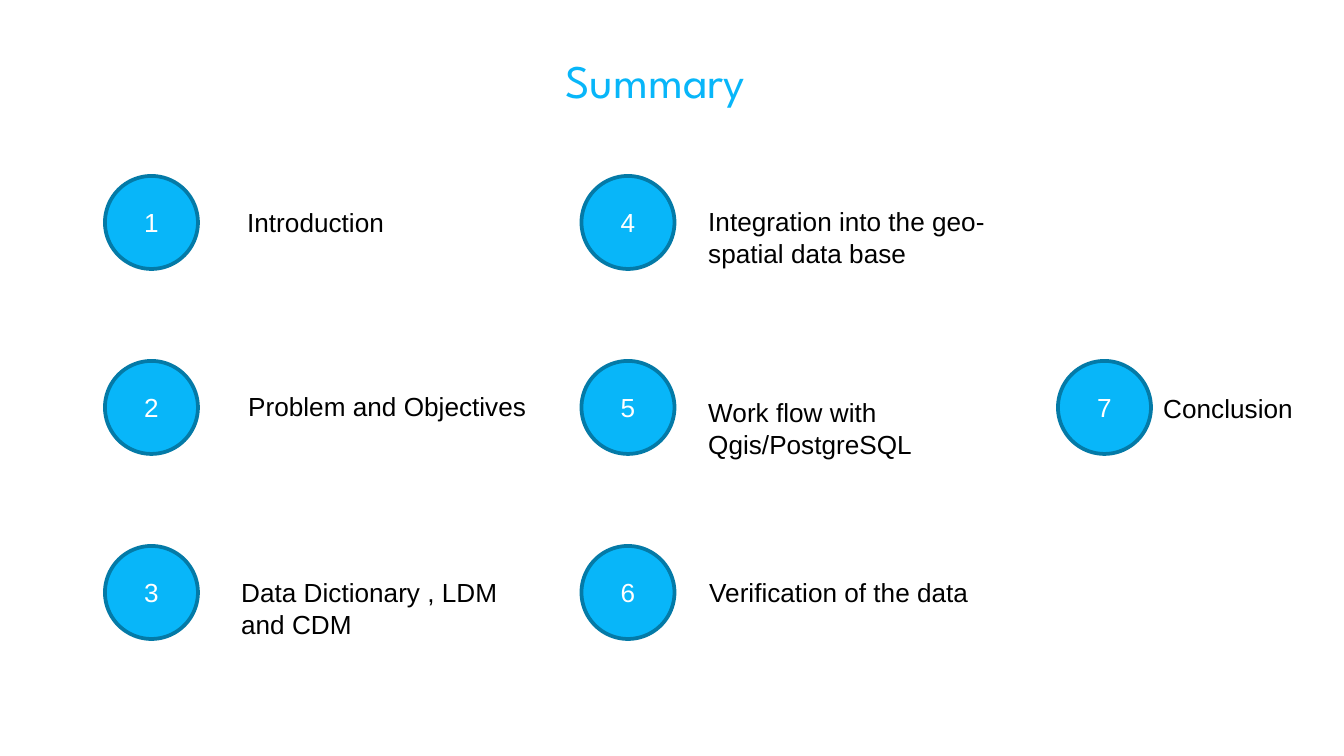
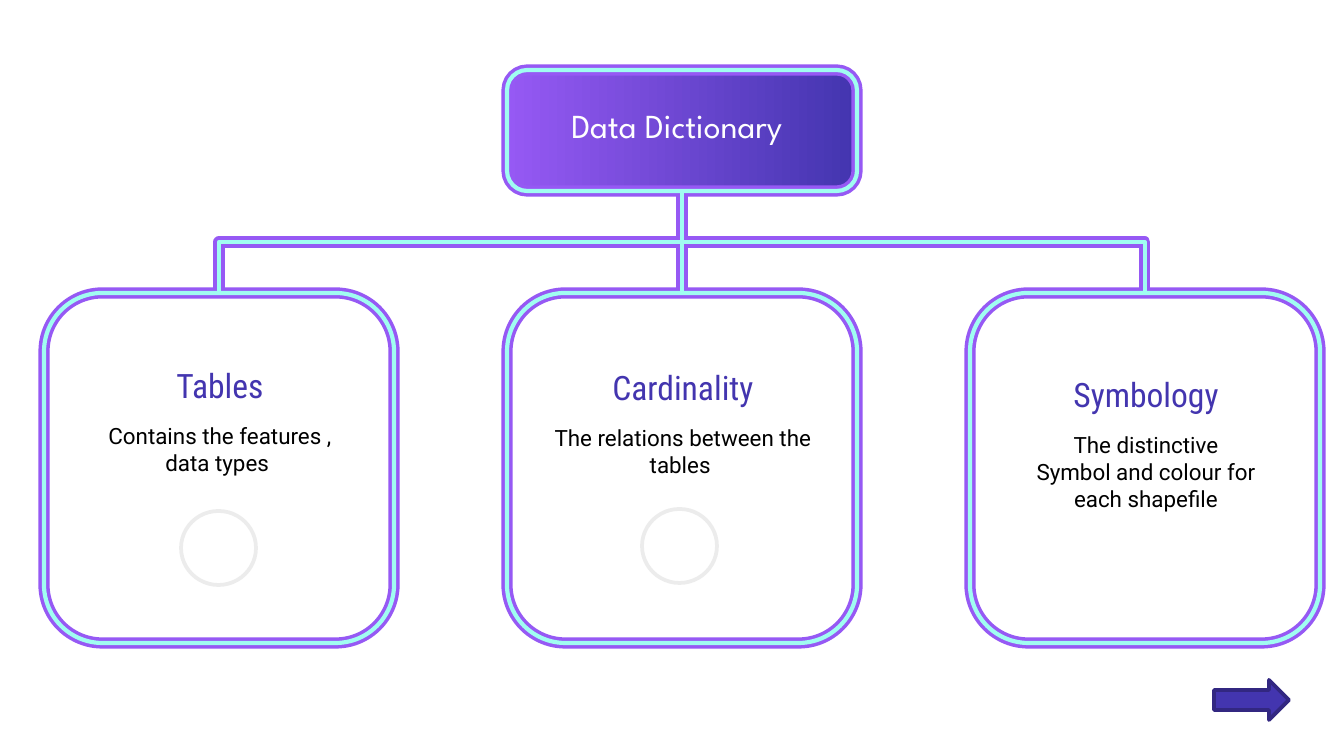
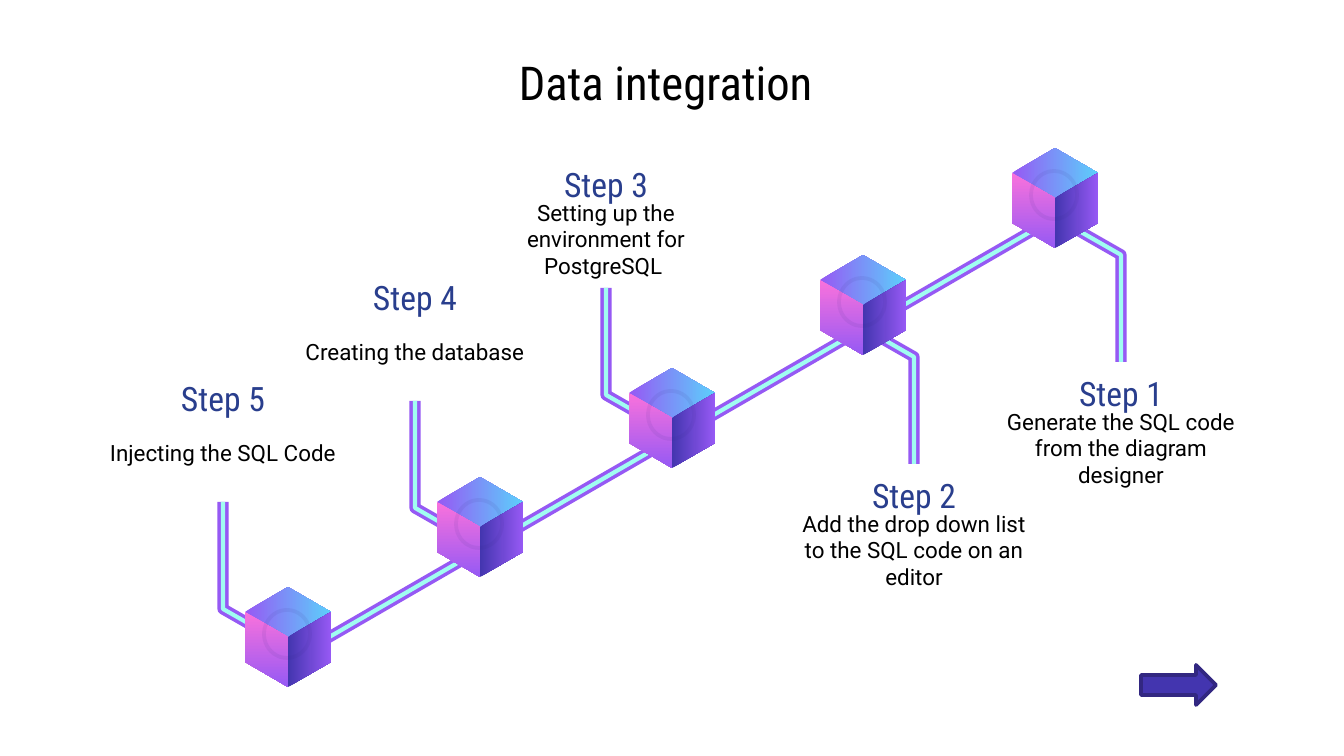
import dataclasses

import lxml.etree
import pptx
import pptx.dml.color
import pptx.enum.dml
import pptx.enum.shapes
import pptx.enum.text
import pptx.oxml.ns
import pptx.util

EMU_PER_PX = 914400 / 134.4
SHAPE = pptx.enum.shapes.MSO_SHAPE
CONNECTOR = pptx.enum.shapes.MSO_CONNECTOR
ALIGN = pptx.enum.text.PP_ALIGN
ANCHOR = pptx.enum.text.MSO_ANCHOR


@dataclasses.dataclass(frozen=True)
class Type:
    font: str
    size: int
    color: str


@dataclasses.dataclass(frozen=True)
class Theme:
    sky: str = "08B6F9"
    sky_edge: str = "047AA7"
    indigo: str = "4335AF"
    indigo_edge: str = "322781"
    violet: str = "9659F4"
    pink: str = "FA72DC"
    cyan: str = "5CCFFB"
    mint: str = "A0FDF1"
    silver: str = "D9D9D9"
    white: str = "FFFFFF"
    edge: int = 2
    summary_title: Type = Type("League Spartan", 25, "08B6F9")
    page_title: Type = Type("Roboto Condensed", 25, "000000")
    root_title: Type = Type("League Spartan", 18, "FFFFFF")
    number: Type = Type("Arial", 14, "FFFFFF")
    label: Type = Type("Arial", 14, "000000")
    card_title: Type = Type("Roboto Condensed", 18, "4335AF")
    step_title: Type = Type("Roboto Condensed", 18, "293E8D")
    body: Type = Type("Roboto", 12, "000000")


THEME = Theme()
# Every tube is a wide violet stroke with a thin mint stroke over it.
TUBE = ((THEME.violet, 6), (THEME.mint, 2.25))

# Label, left, top, width; three to a column
TOPICS = [
    ("Introduction", 234, 200, 325),
    ("Problem and Objectives", 235, 384, 325),
    ("Data Dictionary , LDM and CDM", 228, 570, 325),
    ("Integration into the geo-spatial data base", 695, 199, 325),
    ("Work flow with Qgis/PostgreSQL", 695, 390, 325),
    ("Verification of the data", 696, 570, 325),
    ("Conclusion", 1150, 386, 193),
]

# Heading, paragraphs, heading top
CARDS = [
    ("Tables", ["Contains the features , data types "], 362),
    ("Cardinality", ["The relations between the tables "], 364),
    ("Symbology", ["The distinctive", "Symbol and colour for each shapefile"], 371),
]
CARD_RINGS = [(181, 511), (642, 509)]

# Heading, text, cube apex, bend of the lead, side (1 below, -1 above)
STEPS = [
    ("Step 5", "Injecting the SQL Code", (288, 587), (223, 609), -1),
    ("Step 4", "Creating the database", (480, 477), (415, 508), -1),
    ("Step 3", "Setting up the environment for PostgreSQL ", (672, 368), (606, 395), -1),
    ("Step 2", "Add the drop down list to the SQL code on an editor", (863, 255), (914, 357), 1),
    ("Step 1", "Generate the SQL code\nfrom the diagram designer", (1055, 148), (1121, 255), 1),
]

# Corners from the apex, gradient colours, gradient angle
CUBE_FACES = [
    ([(0, 50), (-43, 25), (0, 0), (43, 25)], (THEME.violet, THEME.cyan), 0),
    ([(-43, 25), (-43, 75), (0, 100), (0, 50)], (THEME.pink, THEME.violet), 270),
    ([(43, 25), (0, 50), (0, 100), (43, 75)], (THEME.indigo, THEME.violet), 0),
]


def px(*lengths):
    return [pptx.util.Emu(round(length * EMU_PER_PX)) for length in lengths]


def rgb(color):
    return pptx.dml.color.RGBColor.from_string(color)


def stroke(item, color, width):
    item.line.color.rgb = rgb(color)
    item.line.width = pptx.util.Pt(width)


def paint(shape, fill=None, line=None, width=THEME.edge):
    """Set fill and line; None leaves either one empty."""
    shape.shadow.inherit = False
    if fill:
        shape.fill.solid()
        shape.fill.fore_color.rgb = rgb(fill)
    else:
        shape.fill.background()
    if line:
        stroke(shape, line, width)
    else:
        shape.line.fill.background()


def shade(shape, colors, angle):
    shape.fill.gradient()
    shape.fill.gradient_angle = angle
    for stop, color in zip(shape.fill.gradient_stops, colors):
        stop.color.rgb = rgb(color)


def fade(shape, query, percent):
    """Give the colours that the query finds this opacity."""
    for color in shape._element.spPr.xpath(query):
        lxml.etree.SubElement(color, pptx.oxml.ns.qn("a:alpha"), val=str(percent * 1000))


def add_shape(page, kind, box, **colors):
    shape = page.shapes.add_shape(kind, *px(*box))
    paint(shape, **colors)
    return shape


def add_path(page, points, closed):
    builder = page.shapes.build_freeform(*points[0], scale=EMU_PER_PX)
    builder.add_line_segments(points[1:], close=closed)
    shape = builder.convert_to_shape()
    paint(shape)
    return shape


def add_line(page, kind, begin, end, color, width):
    line = page.shapes.add_connector(kind, *px(*begin, *end))
    lxml.etree.SubElement(line._element.spPr, pptx.oxml.ns.qn("a:effectLst"))
    stroke(line, color, width)
    return line


def write(shape, paragraphs, style, align=ALIGN.CENTER, anchor=ANCHOR.MIDDLE):
    frame = shape.text_frame
    frame.word_wrap = True
    frame.vertical_anchor = anchor
    for index, text in enumerate(paragraphs):
        para = frame.add_paragraph() if index else frame.paragraphs[0]
        para.alignment = align
        for row, words in enumerate(text.split("\n")):
            if row:
                para.add_line_break()
            span = para.add_run()
            span.text = words
            span.font.name = style.font
            span.font.size = pptx.util.Pt(style.size)
            span.font.color.rgb = rgb(style.color)


def add_text(page, box, paragraphs, style, **layout):
    """Centred text with an even margin on all sides."""
    shape = page.shapes.add_textbox(*px(*box))
    frame = shape.text_frame
    frame.margin_left = frame.margin_right = pptx.util.Inches(0.1)
    frame.margin_top = frame.margin_bottom = pptx.util.Inches(0.1)
    write(shape, paragraphs, style, **layout)


def add_growing_text(page, box, text, style, align):
    shape = page.shapes.add_textbox(*px(*box))
    write(shape, [text], style, align=align, anchor=ANCHOR.TOP)
    shape.text_frame.auto_size = pptx.enum.text.MSO_AUTO_SIZE.SHAPE_TO_FIT_TEXT


def add_title(page, left, top, text, style):
    add_text(page, (left, top, 1192, 75), [text], style)


def add_next_arrow(page, left, top):
    add_shape(page, SHAPE.RIGHT_ARROW, (left, top, 75, 40),
              fill=THEME.indigo, line=THEME.indigo_edge)


def build_summary(page):
    add_title(page, 65, 42, "Summary ", THEME.summary_title)
    for index, (label, left, top, width) in enumerate(TOPICS):
        column, row = divmod(index, 3)
        if index == len(TOPICS) - 1:
            row = 1  # the lone last topic sits on the middle row
        circle = add_shape(page, SHAPE.OVAL, (105 + 476.5 * column, 176 + 185 * row, 93, 93),
                           fill=THEME.sky, line=THEME.sky_edge)
        write(circle, [str(index + 1)], THEME.number)
        height = 77 if len(label) > 25 else 46
        add_growing_text(page, (left, top, width, height), label, THEME.label, ALIGN.LEFT)


def add_branch(page, start, end, color, width):
    """Elbow that leaves start upwards, runs level and reaches end from below."""
    (start_x, start_y), (end_x, end_y) = start, end
    drop, reach = start_y - end_y, abs(end_x - start_x)
    middle_x, middle_y = (start_x + end_x) / 2, (start_y + end_y) / 2
    side = 1 if start_x < end_x else -1
    branch = add_line(page, CONNECTOR.ELBOW,
                      (middle_x - side * drop / 2, middle_y - reach / 2),
                      (middle_x + side * drop / 2, middle_y + reach / 2), color, width)
    turn = 270 if side > 0 else 90
    branch._element.spPr.xpath("a:xfrm")[0].set("rot", str(turn * 60000))


def build_dictionary(page):
    side, card_top, root_top, root_height = 350, 293, 70, 121
    lefts = [44 + 463 * index for index in range(len(CARDS))]
    root_box = (lefts[1], root_top, side, root_height)
    root_foot = (lefts[1] + side / 2, root_top + root_height)

    for color, width in TUBE:
        cards = [add_shape(page, SHAPE.ROUNDED_RECTANGLE, (left, card_top, side, side),
                           line=color, width=width) for left in lefts]
        root = add_shape(page, SHAPE.ROUNDED_RECTANGLE, root_box, line=color, width=width)
        if color == THEME.violet:
            shade(root, (THEME.violet, THEME.indigo), 0)
        for left in (lefts[0], lefts[2]):
            add_branch(page, (left + side / 2, card_top), root_foot, color, width)
        trunk = add_line(page, CONNECTOR.STRAIGHT, (root_foot[0], card_top), root_foot,
                         color, width)
        trunk.begin_connect(cards[1], 0)
        trunk.end_connect(root, 2)

    for left, (heading, paragraphs, top) in zip(lefts, CARDS):
        add_text(page, (left + 33, top, 286, 47), [heading], THEME.card_title)
        add_text(page, (left + 33, top + 47, 286, 140), paragraphs, THEME.body,
                 anchor=ANCHOR.TOP)
    add_growing_text(page, (505, 98, 352, 54), "Data Dictionary ", THEME.root_title, ALIGN.CENTER)
    for left, top in CARD_RINGS:
        ring = add_shape(page, SHAPE.OVAL, (left, top, 75, 74),
                         fill=THEME.white, line=THEME.silver)
        fade(ring, "a:solidFill/a:srgbClr", 44)
        fade(ring, "a:ln//a:srgbClr", 48)
    add_next_arrow(page, 1214, 680)


def build_integration(page):
    for color, width in TUBE:
        for _, _, _, (x, y), side in STEPS:
            points = [(x - side * 70, y - side * 40), (x, y), (x, y + side * 107)]
            stroke(add_path(page, points, closed=False), color, width)
    for color, width in TUBE:
        add_line(page, CONNECTOR.STRAIGHT, (1051, 220), (281, 665), color, width)

    for heading, text, (apex_x, apex_y), (bend_x, bend_y), side in STEPS:
        for corners, colors, angle in CUBE_FACES:
            face = add_path(page, [(apex_x + x, apex_y + y) for x, y in corners], closed=True)
            shade(face, colors, angle)
        ring = add_shape(page, SHAPE.OVAL, (apex_x - 24, apex_y + 23, 46, 48),
                         line=THEME.indigo_edge)
        fade(ring, "a:ln//a:srgbClr", 7)
        left, top = bend_x - 129, bend_y + (119 if side > 0 else -230)
        add_text(page, (left, top, 258, 38), [heading], THEME.step_title)
        add_text(page, (left, top + 37, 258, 74), [text], THEME.body)

    add_title(page, 75, 44, "Data integration ", THEME.page_title)
    add_next_arrow(page, 1141, 665)


def main():
    deck = pptx.Presentation()
    deck.slide_width, deck.slide_height = px(1344, 756)
    for build in (build_summary, build_dictionary, build_integration):
        build(deck.slides.add_slide(deck.slide_layouts[6]))
    deck.save("out.pptx")


if __name__ == "__main__":
    main()
